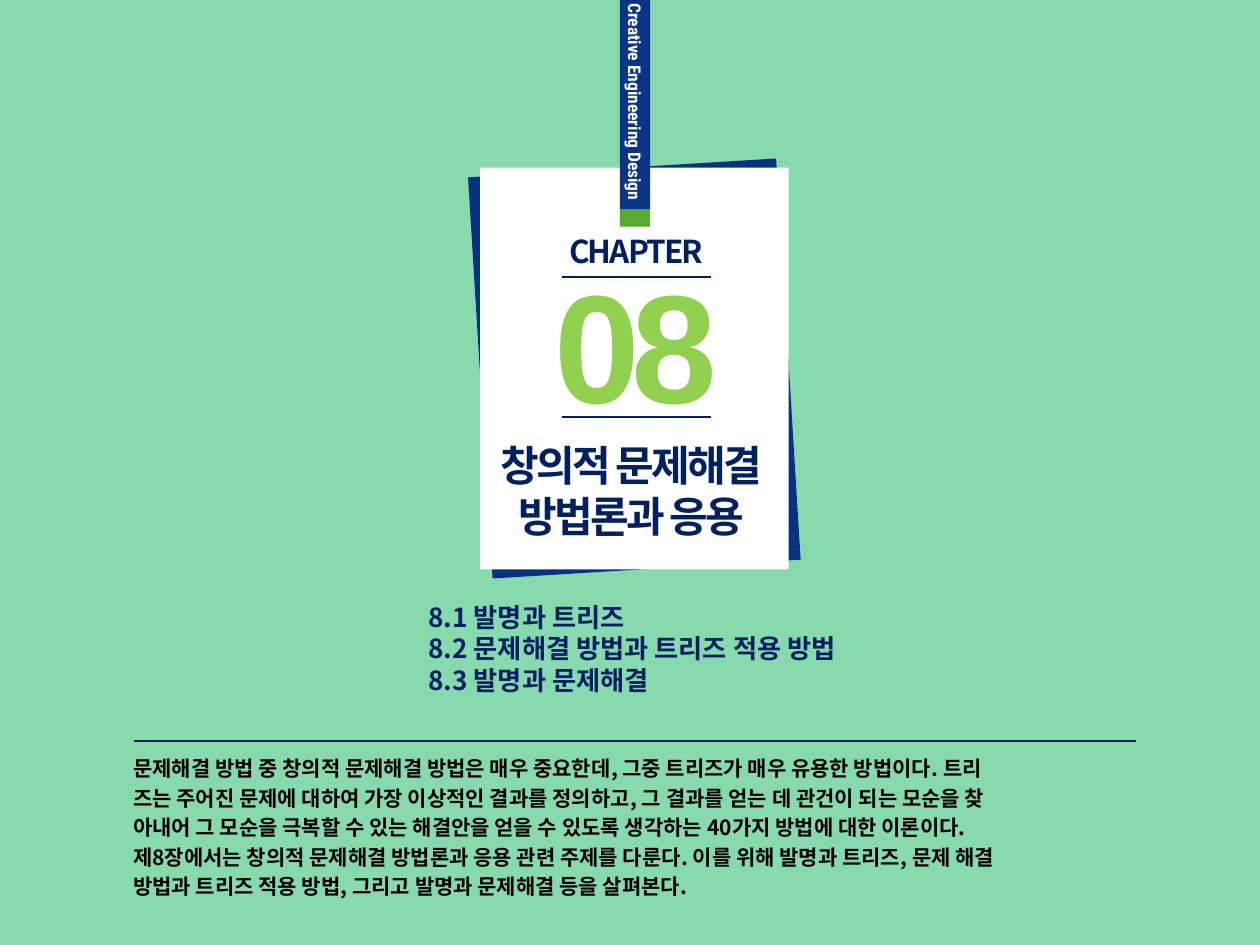
import dataclasses

import lxml.etree
import pptx
import pptx.dml.color
import pptx.enum.shapes
import pptx.enum.text
import pptx.oxml.ns
import pptx.util

Inches = pptx.util.Inches
Pt = pptx.util.Pt
Align = pptx.enum.text.PP_ALIGN
Anchor = pptx.enum.text.MSO_ANCHOR
qn = pptx.oxml.ns.qn


@dataclasses.dataclass(frozen=True)
class Theme:
    background: str = "87DAAD"
    ink: str = "002060"
    backing: str = "093182"
    ribbon: str = "0A3488"
    ribbon_tip: str = "59AA30"
    number: str = "92D050"
    white: str = "FFFFFF"
    black: str = "000000"
    korean: str = "Noto Sans CJK KR"
    latin: str = "Arial"
    narrow: str = "Roboto Condensed"
    ribbon_size: float = 10
    summary_size: float = 12
    section_size: float = 15
    chapter_size: float = 18
    title_size: float = 24
    number_size: float = 88
    line_height: float = 1.2


def rgb(value):
    return pptx.dml.color.RGBColor.from_string(value)


class SlideBuilder:
    def __init__(self, slide, theme):
        self.slide = slide
        self.theme = theme
        slide.background.fill.solid()
        slide.background.fill.fore_color.rgb = rgb(theme.background)

    def rectangle(self, box, color, rotation=0):
        shape = self.slide.shapes.add_shape(
            pptx.enum.shapes.MSO_SHAPE.RECTANGLE, *map(Inches, box))
        shape.shadow.inherit = False
        shape.fill.solid()
        shape.fill.fore_color.rgb = rgb(color)
        shape.line.fill.background()
        shape.rotation = rotation
        return shape

    def rule(self, left, right, y, width):
        line = self.slide.shapes.add_connector(
            pptx.enum.shapes.MSO_CONNECTOR.STRAIGHT,
            Inches(left), Inches(y), Inches(right), Inches(y))
        line.line.color.rgb = rgb(self.theme.ink)
        line.line.width = Pt(width)
        lxml.etree.SubElement(line._element.spPr, qn("a:effectLst"))

    def set_lines(self, frame, lines, size, color, font, align=Align.LEFT,
                  tracking=0, gap=0, exact=True):
        """Fill a frame with bold lines; tracking and gap are in points."""
        frame.text = "\n".join(lines)
        for index, paragraph in enumerate(frame.paragraphs):
            properties = paragraph._p.get_or_add_pPr()
            properties.set("marL", "0")
            properties.set("indent", "0")
            paragraph.alignment = align
            paragraph.space_before = Pt(gap if index else 0)
            if exact:
                paragraph.line_spacing = Pt(size * self.theme.line_height)
            lxml.etree.SubElement(properties, qn("a:buNone"))
            paragraph.font.size = Pt(size)
            paragraph.font.bold = True
            paragraph.font.color.rgb = rgb(color)
            paragraph.font.name = font
            defaults = properties.find(qn("a:defRPr"))
            defaults.set("spc", str(round(tracking * 100)))
            lxml.etree.SubElement(defaults, qn("a:ea")).set("typeface", font)

    def text(self, box, lines, size, color, font, **style):
        frame = self.slide.shapes.add_textbox(*map(Inches, box)).text_frame
        frame.word_wrap = True
        self.set_lines(frame, lines, size, color, font, **style)

    def placeholder(self, holder, box, lines, size, **style):
        """Place a template placeholder in front of everything drawn so far."""
        self.slide.shapes._spTree.append(holder._element)
        holder.left, holder.top, holder.width, holder.height = map(Inches, box)
        frame = holder.text_frame
        frame.word_wrap = True
        frame.auto_size = pptx.enum.text.MSO_AUTO_SIZE.NONE
        frame.vertical_anchor = Anchor.TOP
        self.set_lines(frame, lines, size, self.theme.ink, self.theme.korean,
                       **style)

    def ribbon(self, box, label):
        frame = self.rectangle(box, self.theme.ribbon).text_frame
        frame.margin_left = frame.margin_top = frame.margin_right = 0
        frame.margin_bottom = Inches(0.08)
        frame.vertical_anchor = Anchor.MIDDLE
        frame._txBody.bodyPr.set("vert", "vert")
        self.set_lines(frame, [label], self.theme.ribbon_size,
                       self.theme.white, self.theme.narrow,
                       align=Align.RIGHT, exact=False)


def main():
    deck = pptx.Presentation()
    deck.slide_width, deck.slide_height = Inches(10), Inches(7.5)
    theme = Theme()
    slide = deck.slides.add_slide(deck.slide_layouts[1])
    builder = SlideBuilder(slide, theme)
    title, sections = slide.placeholders

    card = (3.81, 1.33, 2.45, 3.19)
    builder.rectangle(card, theme.backing, rotation=356.5)
    builder.rectangle(card, theme.white)
    builder.ribbon((4.92, 0, 0.24, 1.67), "Creative Engineering Design")
    builder.rectangle((4.92, 1.66, 0.24, 0.14), theme.ribbon_tip)

    builder.text((4.08, 1.93, 1.94, 1.58), ["08"], theme.number_size,
                 theme.number, theme.latin, align=Align.CENTER, tracking=-5,
                 exact=False)
    builder.text((4.3, 1.79, 1.5, 0.4), ["CHAPTER"], theme.chapter_size,
                 theme.ink, theme.korean, align=Align.CENTER, tracking=-1.1)
    for y in (2.2, 3.31):
        builder.rule(4.46, 5.64, y, 1)

    builder.placeholder(title, (3.67, 3.44, 2.68, 0.91),
                        ["창의적 문제해결", "방법론과 응용"],
                        theme.title_size, align=Align.CENTER, tracking=-1.5)
    builder.placeholder(sections, (3.3, 4.72, 5, 0.86), [
        "8.1 발명과 트리즈",
        "8.2 문제해결 방법과 트리즈 적용 방법",
        "8.3 발명과 문제해결",
    ], theme.section_size)

    builder.rule(1.06, 9.02, 5.88, 0.75)
    builder.text((0.96, 5.95, 9, 1.18), [
        "문제해결 방법 중 창의적 문제해결 방법은 매우 중요한데, 그중 트리즈가 매우 유용한 방법이다. 트리",
        "즈는 주어진 문제에 대하여 가장 이상적인 결과를 정의하고, 그 결과를 얻는 데 관건이 되는 모순을 찾",
        "아내어 그 모순을 극복할 수 있는 해결안을 얻을 수 있도록 생각하는 40가지 방법에 대한 이론이다.",
        "제8장에서는 창의적 문제해결 방법론과 응용 관련 주제를 다룬다. 이를 위해 발명과 트리즈, 문제 해결",
        "방법과 트리즈 적용 방법, 그리고 발명과 문제해결 등을 살펴본다.",
    ], theme.summary_size, theme.black, theme.korean, gap=2.4)

    deck.save("out.pptx")


if __name__ == "__main__":
    main()
